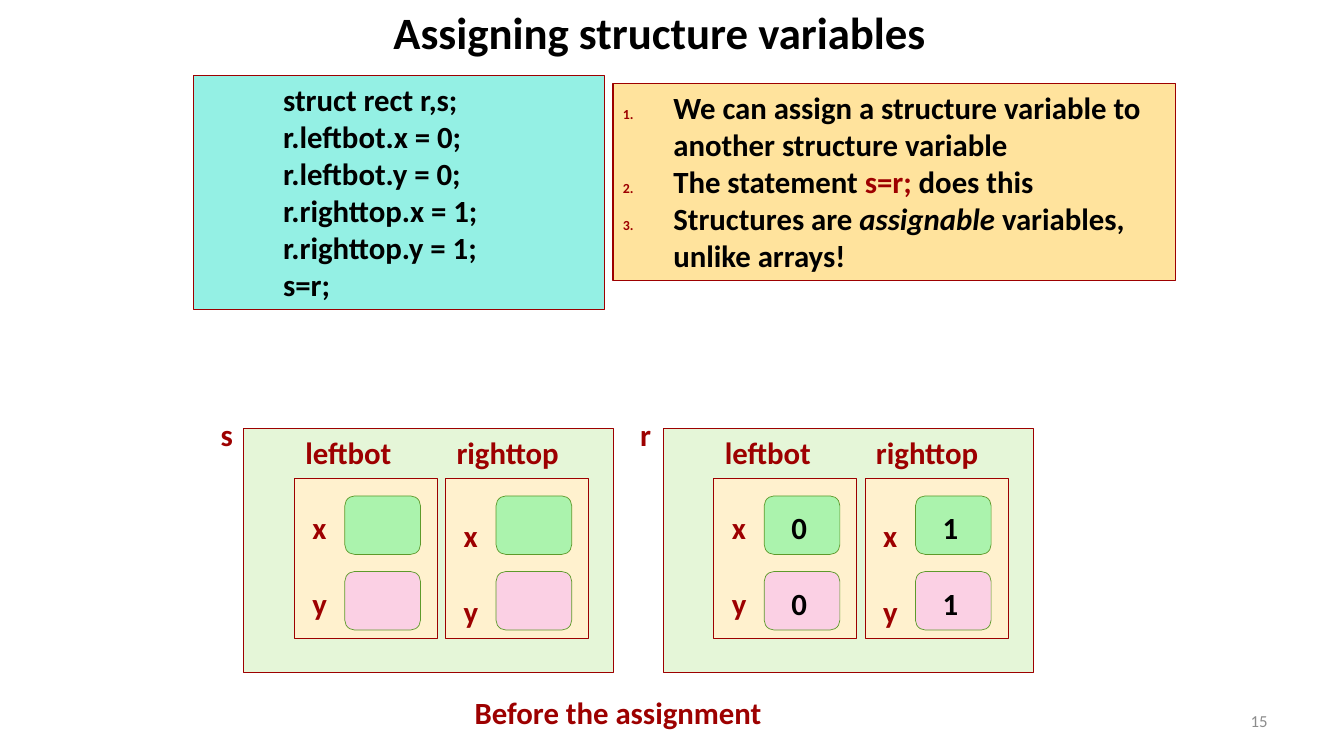
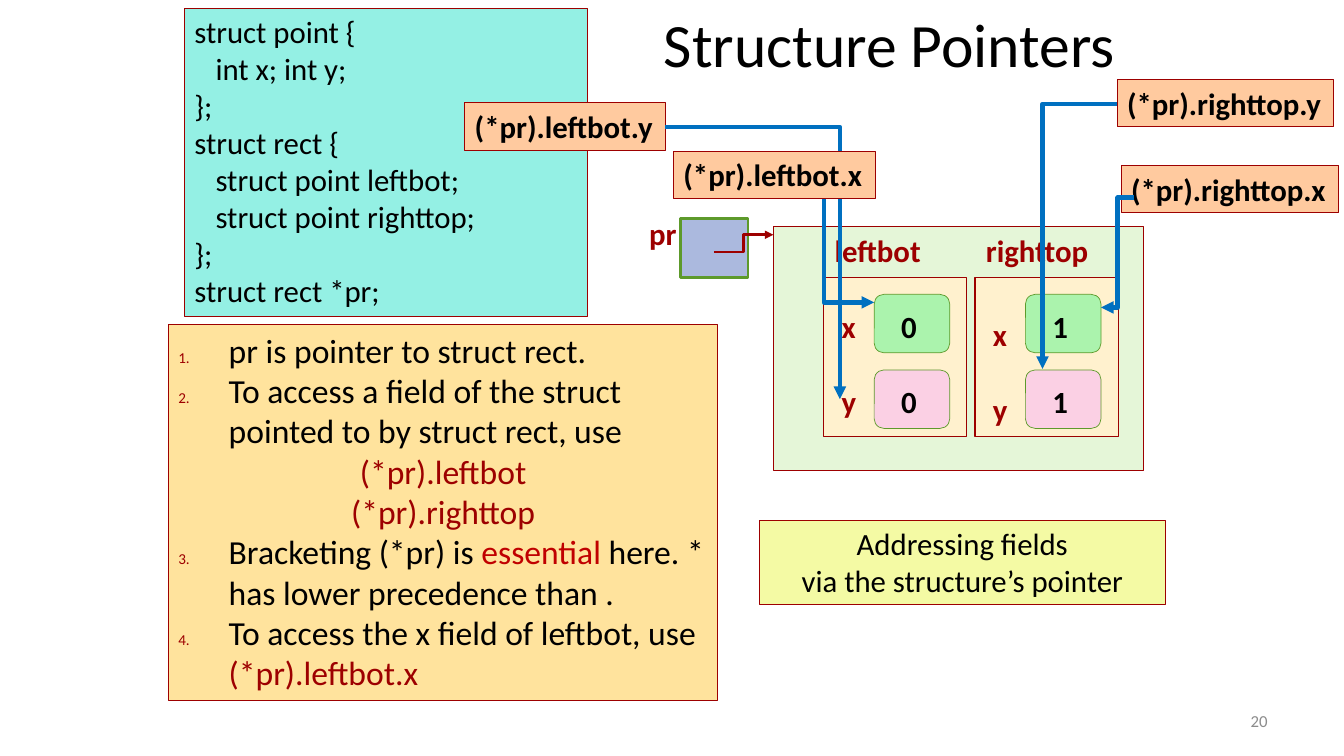
from dataclasses import dataclass

from lxml import etree
from pptx import Presentation
from pptx import util as u
from pptx.dml.color import RGBColor
from pptx.enum import shapes, text
from pptx.oxml import ns

LEFT, MID, RIGHT = text.PP_ALIGN.LEFT, text.PP_ALIGN.CENTER, text.PP_ALIGN.RIGHT
RECT = shapes.MSO_SHAPE.RECTANGLE
ROUND = shapes.MSO_SHAPE.ROUNDED_RECTANGLE


@dataclass(frozen=True)
class Theme:
    font: str = "Calibri"
    body: int = 22
    list: int = 24
    head: int = 32
    big: int = 44
    foot: int = 12
    ink: str = "000000"
    red: str = "9D0000"
    alert: str = "C00000"
    blue: str = "0070C0"
    grey: str = "8C8C8C"
    leaf: str = "5D9A2B"
    code: str = "94F0E4"
    note: str = "FFE39D"
    tag: str = "FFCA9F"
    lemon: str = "F4FAA4"
    outer: str = "E5F6D8"
    inner: str = "FFF1CE"
    green: str = "ABF3AD"
    pink: str = "FBD0E4"
    slate: str = "ABB9DE"


T = Theme()


@dataclass
class Para:
    runs: object
    color: str = T.ink
    align: object = LEFT
    left: float = 0
    hang: float = 0
    num: int = 0


def item(num, *runs):
    return Para(runs, left=0.5, hang=-0.5, num=num)


class Deck:
    """Holds the style and the current slide, and draws each kind of element."""

    def __init__(self):
        self.prs = Presentation()
        self.prs.slide_width = u.Inches(13.33)
        self.prs.slide_height = u.Inches(7.5)
        self.slide = None

    def page(self, num):
        self.slide = self.prs.slides.add_slide(self.prs.slide_layouts[6])
        self.label(str(num), (9.56, 6.95, 3.11, 0.4), T.grey, T.foot, False,
                   RIGHT, text.MSO_ANCHOR.MIDDLE)

    def bullet(self, para, start):
        props = para._p.get_or_add_pPr()
        color = etree.SubElement(props, ns.qn("a:buClr"))
        etree.SubElement(color, ns.qn("a:srgbClr"), val=T.red)
        etree.SubElement(props, ns.qn("a:buSzPct"), val="45000")
        etree.SubElement(props, ns.qn("a:buFont"), typeface=T.font)
        etree.SubElement(props, ns.qn("a:buAutoNum"), type="arabicPeriod",
                         startAt=str(start))

    def fill(self, shape, paras, size=T.body, bold=False, wrap=True,
             anchor=text.MSO_ANCHOR.TOP):
        frame = shape.text_frame
        frame.word_wrap = wrap
        frame.vertical_anchor = anchor
        for i, data in enumerate(paras):
            para = frame.add_paragraph() if i else frame.paragraphs[0]
            para.alignment = data.align
            if data.left:
                props = para._p.get_or_add_pPr()
                props.set("marL", str(u.Inches(data.left)))
                props.set("indent", str(u.Inches(data.hang)))
            if data.num:
                self.bullet(para, data.num)
            font = para.font
            font.name, font.size, font.bold = T.font, u.Pt(size), bold
            font.color.rgb = RGBColor.from_string(data.color)
            for part in data.runs:
                words, color, slant = part if isinstance(part, tuple) else (part, None, None)
                run = para.add_run()
                run.text = words
                if color:
                    run.font.color.rgb = RGBColor.from_string(color)
                if slant:
                    run.font.italic = True

    def label(self, words, at, color=T.red, size=T.body, bold=True,
              align=LEFT, anchor=text.MSO_ANCHOR.TOP):
        box = self.slide.shapes.add_textbox(*map(u.Inches, at))
        self.fill(box, [Para([words], color, align)], size, bold,
                  align != LEFT, anchor)

    def box(self, at, fill, kind=RECT, line=T.red, width=0.75):
        shape = self.slide.shapes.add_shape(kind, *map(u.Inches, at))
        shape.shadow.inherit = False
        shape.fill.solid()
        shape.fill.fore_color.rgb = RGBColor.from_string(fill)
        shape.line.color.rgb = RGBColor.from_string(line)
        shape.line.width = u.Pt(width)
        return shape

    def panel(self, at, fill, paras, **style):
        self.fill(self.box(at, fill), paras, **style)

    def tag(self, words, at):
        self.panel(at, T.tag, [Para([words])], bold=True, wrap=False)

    def arrow(self, start, end, color=T.blue, width=3, kind="bentConnector3"):
        link = self.slide.shapes.add_connector(
            shapes.MSO_CONNECTOR.ELBOW, *map(u.Inches, start + end))
        link.line.color.rgb = RGBColor.from_string(color)
        link.line.width = u.Pt(width)
        props = link._element.spPr
        props.find(ns.qn("a:prstGeom")).set("prst", kind)
        etree.SubElement(props.find(ns.qn("a:ln")), ns.qn("a:tailEnd"), type="triangle")
        etree.SubElement(props, ns.qn("a:effectLst"))

    def rect(self, x, y, vals=None):
        self.box((x, y, 3.67, 2.42), T.outer)
        for i, (name, wide) in enumerate((("leftbot", 1.07), ("righttop", 1.23))):
            left = x + 0.5 + 1.5 * i
            self.box((left, y + 0.5, 1.42, 1.58), T.inner)
            self.label(name, (left + 0.01, y, wide, 0.47))
            for j, (axis, fill) in enumerate((("x", T.green), ("y", T.pink))):
                top = y + 0.75 * (j + 1)
                self.box((left + 0.5, top - 0.08, 0.75, 0.58), fill, ROUND, T.leaf, 0.5)
                self.label(axis, (left + 0.08, top + 0.08 * i, 0.34, 0.47))
                if vals:
                    self.label(vals[i], (left + 0.67, top, 0.35, 0.47), T.ink)


def assign(deck):
    deck.page(15)
    deck.label("Assigning structure variables", (1.42, 0, 10.25, 0.63),
               T.ink, T.head, align=MID)
    code = ("struct rect r,s;", "r.leftbot.x = 0;", "r.leftbot.y = 0;",
            "r.righttop.x = 1;", "r.righttop.y = 1;", "s=r;")
    deck.panel((1.92, 0.75, 4.08, 2.32), T.code,
               [Para([row], left=0.79) for row in code], bold=True)
    deck.panel((6.08, 0.83, 5.58, 1.95), T.note, [
        item(1, "We can assign a structure variable to another structure variable"),
        item(1, "The statement ", ("s=r;", T.red, False), " does this"),
        item(1, "Structures are ", ("assignable", None, True),
             " variables, unlike arrays!"),
    ], bold=True)
    for name, x, vals in (("s", 2.42, None), ("r", 6.58, "01")):
        deck.rect(x, 4.25, vals)
        deck.label(name, (x - 0.33, 4.08, 0.32, 0.47))
    deck.label("Before the assignment", (4.61, 6.83, 3.08, 0.47))


def point(deck):
    deck.page(20)
    deck.label("Structure Pointers", (6, 0.01, 5.65, 0.74), T.ink, T.big, False, MID)
    code = (("struct point {", 0), ("int x; int y;", 1), ("};", 0),
            ("struct rect {", 0), ("struct point leftbot;", 1),
            ("struct point righttop;", 1), ("};", 0), ("struct rect *pr;", 0))
    deck.panel((1.83, 0.08, 4, 3.06), T.code,
               [Para([row], left=0.21 * deep) for row, deep in code])
    deck.panel((1.67, 3.22, 5.45, 3.73), T.note, [
        item(1, "pr is pointer to struct rect."),
        item(1, "To access a field of the struct pointed to by struct rect, use"),
        *(Para([row], T.red, MID, 0.5, -0.5)
          for row in ("(*pr).leftbot", "(*pr).righttop")),
        item(3, "Bracketing (*pr) is ", ("essential", T.alert, False),
             " here. * has lower precedence than ."),
        item(3, "To access the x field of leftbot, use",
             (" (*pr).leftbot.x", T.red, False)),
    ], size=T.list)
    deck.label("pr", (6.34, 2.08, 0.47, 0.47))
    deck.box((6.75, 2.17, 0.67, 0.58), T.slate, line=T.leaf, width=2)
    deck.arrow((7.08, 2.5), (7.67, 2.33), T.red, 2)
    deck.rect(7.67, 2.25, "01")
    deck.tag("(*pr).leftbot.y", (4.61, 1.02, 1.99, 0.47))
    deck.tag("(*pr).righttop.y", (11.08, 0.79, 2.15, 0.47))
    deck.tag("(*pr).righttop.x", (11.12, 1.64, 2.16, 0.47))
    deck.arrow((6.6, 1.26), (8.33, 3.96), kind="bentConnector2")
    deck.arrow((7.67, 1.92), (8.67, 3))
    deck.arrow((11.25, 1.96), (10.92, 3.05))
    deck.arrow((11.08, 1.03), (10.34, 3.66), kind="bentConnector2")
    deck.panel((7.53, 5.16, 4.03, 0.84), T.lemon,
               [Para([row], align=MID)
                for row in ("Addressing fields", "via the structure’s pointer")])
    deck.tag("(*pr).leftbot.x", (6.68, 1.5, 2, 0.47))


def main():
    deck = Deck()
    assign(deck)
    point(deck)
    deck.prs.save("out.pptx")


if __name__ == "__main__":
    main()
